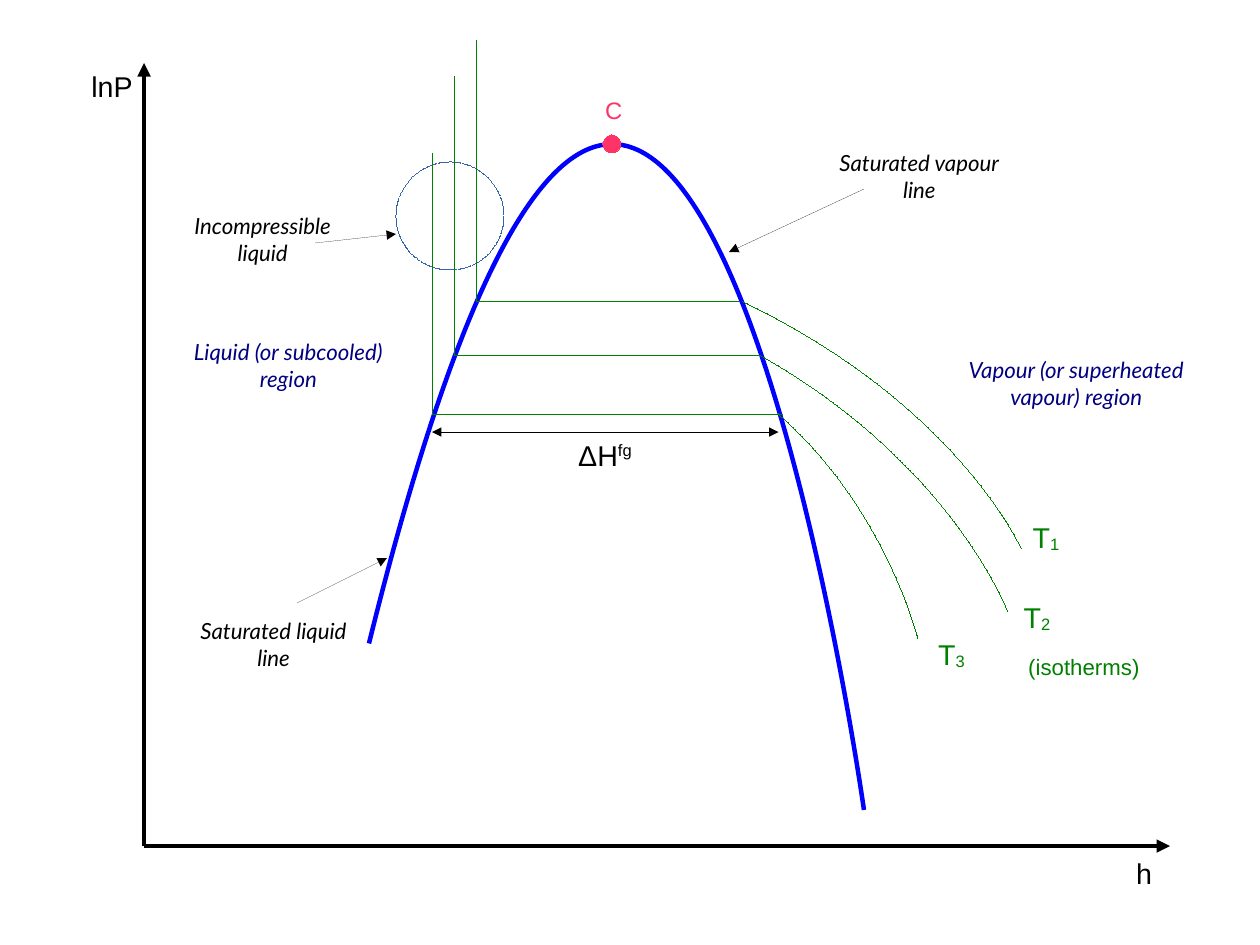
from lxml.etree import SubElement
from pptx import Presentation
from pptx.dml.color import RGBColor
from pptx.enum.dml import MSO_LINE_DASH_STYLE as Dash
from pptx.enum.shapes import MSO_CONNECTOR as Connector, MSO_SHAPE as Shape
from pptx.enum.text import MSO_AUTO_SIZE as AutoSize, PP_ALIGN as Align
from pptx.oxml.ns import qn
from pptx.util import Cm, Pt

COLUMNS, ROWS = 28, 21
BLACK = RGBColor(0x00, 0x00, 0x00)
WHITE = RGBColor(0xFF, 0xFF, 0xFF)
BLUE = RGBColor(0x00, 0x00, 0xFF)
NAVY = RGBColor(0x00, 0x00, 0x80)
STEEL = RGBColor(0x34, 0x65, 0xA4)
GREEN = RGBColor(0x00, 0x80, 0x00)
PINK = RGBColor(0xFF, 0x33, 0x66)
HAIRLINE, BOLD_LINE = 0, 2.83


class Diagram:
    cell = Cm(1)
    symbol_font, caption_font = "Arial", "Lato"

    def __init__(self, slide):
        self.shapes = slide.shapes

    def grid(self, *cells):
        return [round(cell * self.cell) for cell in cells]

    def stroke(self, line, color, width):
        line.color.rgb = color
        line._get_or_add_ln().set("w", str(int(Pt(width))))

    def line(self, start, end, color=BLACK, width=HAIRLINE, arrows=()):
        link = self.shapes.add_connector(Connector.STRAIGHT, *self.grid(*start, *end))
        self.stroke(link.line, color, width)
        for arrow in arrows:
            SubElement(link.line._get_or_add_ln(), qn(f"a:{arrow}"), type="triangle")
        SubElement(link._element.spPr, qn("a:effectLst"))

    def arrow(self, start, end, width=HAIRLINE):
        self.line(start, end, width=width, arrows=["tailEnd"])

    def curve(self, start, control, end, top, color, width=HAIRLINE):
        builder = self.shapes.build_freeform(*self.grid(*start))
        corners = [self.grid(end[0], top), self.grid(*end)]
        builder.add_line_segments(corners, close=False)
        outline = builder.convert_to_shape()
        outline.shadow.inherit = False
        outline.fill.background()
        self.stroke(outline.line, color, width)
        route = next(outline._element.iter(qn("a:path")))
        for segment in route.findall(qn("a:lnTo")):
            route.remove(segment)
        bend = SubElement(route, qn("a:cubicBezTo"))
        for column, row in (control, end, end):
            x, y = self.grid(column - start[0], row - top)
            SubElement(bend, qn("a:pt"), x=str(x), y=str(y))

    def circle(self, left, top, diameter, fill, color, dash=None):
        disc = self.shapes.add_shape(
            Shape.OVAL, *self.grid(left, top, diameter, diameter))
        disc.shadow.inherit = False
        disc.fill.solid()
        disc.fill.fore_color.rgb = fill
        self.stroke(disc.line, color, HAIRLINE)
        if dash:
            disc.line.dash_style = dash

    def frame(self, left, top, width, height):
        frame = self.shapes.add_textbox(*self.grid(left, top, width, height)).text_frame
        frame.word_wrap = False
        frame.auto_size = AutoSize.SHAPE_TO_FIT_TEXT
        return frame

    def style(self, paragraph, name, size, color, italic=False):
        font = paragraph.font
        font.name, font.size, font.italic = name, Pt(size), italic
        font.color.rgb = color

    def symbol(self, text, left, top, width, color=BLACK, size=18, script="", baseline=0):
        paragraph = self.frame(left, top, width, 1).paragraphs[0]
        paragraph.add_run().text = text
        if script:
            index = paragraph.add_run()
            index.text = script
            index._r.get_or_add_rPr().set("baseline", str(baseline * 1000))
        self.style(paragraph, self.symbol_font, size, color)

    def caption(self, text, left, top, width, color=BLACK):
        frame = self.frame(left, top, width, 1.6)
        frame.text = text
        for paragraph in frame.paragraphs:
            paragraph.alignment = Align.CENTER
            self.style(paragraph, self.caption_font, 14, color, italic=True)


def main():
    deck = Presentation()
    deck.slide_width, deck.slide_height = Cm(COLUMNS), Cm(ROWS)
    diagram = Diagram(deck.slides.add_slide(deck.slide_layouts[6]))

    diagram.circle(8.8, 3.6, 2.4, WHITE, STEEL, Dash.SQUARE_DOT)
    origin = (3.2, 18.8)
    for axis_end in [(3.2, 1.4), (26, 18.8)]:
        diagram.arrow(origin, axis_end, BOLD_LINE)
    diagram.curve((8.2, 14.3), (14.88, -12.67), (19.2, 18), 3.2, BLUE, BOLD_LINE)

    isotherms = [
        ("1", 10.6, 0.9, 6.7, 16.4, 16.5, (21.3, 9), (22.7, 12.2), (22.7, 11.43)),
        ("2", 10.1, 1.7, 7.9, 16.9, 16.9, (21.16, 10.3), (22.4, 13.6), (22.5, 13.2)),
        ("3", 9.6, 3.4, 9.2, 17.4, 17.3, (19.7, 11.3), (20.4, 14.2), (20.6, 14.02)),
    ]
    for number, liquid, top, level, vapour, bend, control, end, label in isotherms:
        diagram.line((liquid, top), (liquid, level), GREEN)
        diagram.line((vapour, level), (liquid, level), GREEN)
        diagram.curve((bend, level), control, end, level, GREEN)
        diagram.symbol("T", *label, 1.1, GREEN, script=number, baseline=-8)
    diagram.symbol("(isotherms)", 22.6, 14.4, 3.1, GREEN, 14)

    diagram.symbol("C", 13.2, 2, 0.9, PINK, 15)
    diagram.circle(13.4, 3, 0.4, PINK, PINK)
    diagram.symbol("lnP", 1.78, 1.4, 1.42)
    diagram.symbol("h", 25, 18.9, 0.86)

    diagram.line((9.6, 9.6), (17.3, 9.6), arrows=["headEnd", "tailEnd"])
    diagram.symbol("ΔH", 12.6, 9.6, 1.7, script="fg", baseline=33)

    pointers = [
        ("Saturated vapour\nline", 18.4, 3.2, 4.06, (19.2, 4.2), (16.2, 5.6)),
        ("Saturated liquid\nline", 4.2, 13.6, 3.76, (6.6, 13.4), (8.6, 12.4)),
        ("Incompressible\nliquid", 3.86, 4.6, 3.96, (7, 5.4), (8.8, 5.2)),
    ]
    for text, left, top, width, start, end in pointers:
        diagram.caption(text, left, top, width)
        diagram.arrow(start, end)
    diagram.caption("Liquid (or subcooled)\nregion", 3.86, 7.4, 5.1, NAVY)
    diagram.caption("Vapour (or superheated\nvapour) region", 21, 7.8, 5.84, NAVY)

    deck.save("out.pptx")


if __name__ == "__main__":
    main()
